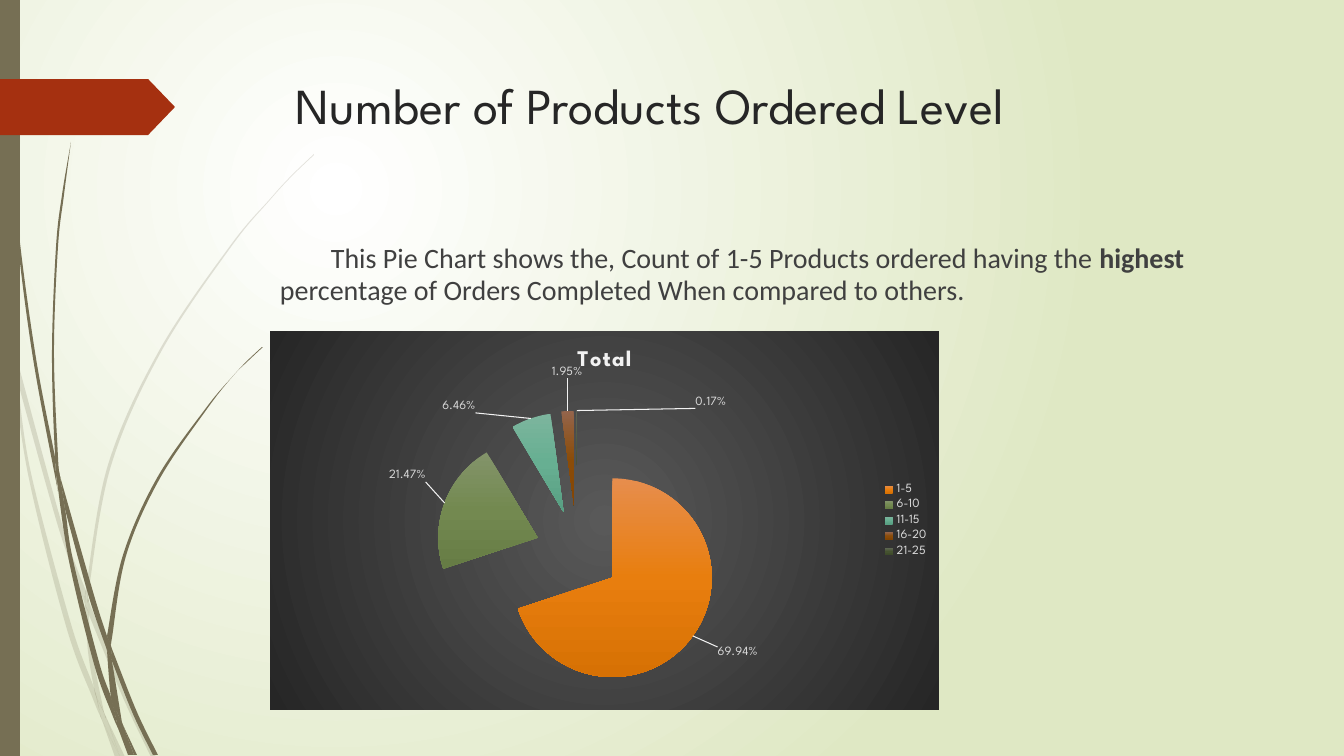
from dataclasses import dataclass
from lxml import etree
from pptx import Presentation
from pptx.chart.data import CategoryChartData
from pptx.dml.color import RGBColor
from pptx.enum.chart import XL_CHART_TYPE, XL_LABEL_POSITION, XL_LEGEND_POSITION
from pptx.enum.shapes import MSO_SHAPE
from pptx.oxml import parse_xml
from pptx.oxml.ns import nsdecls, qn
from pptx.util import Inches, Pt

PIE = XL_CHART_TYPE.PIE_EXPLODED
BEST_FIT = XL_LABEL_POSITION.BEST_FIT
LEGEND_RIGHT = XL_LEGEND_POSITION.RIGHT
RECTANGLE, PENTAGON = MSO_SHAPE.RECTANGLE, MSO_SHAPE.PENTAGON
SLIDE_WIDTH, SLIDE_HEIGHT = 1344, 756
EMU_PER_PX = Inches(7.5) / SLIDE_HEIGHT


@dataclass(frozen=True)
class Theme:
    olive: str = "766F54"
    rust: str = "A53010"
    background: tuple = ((0, "FFFFFF"), (100, "DFE8C4"))
    chart_back: tuple = ((0, "595959"), (100, "262626"))
    leader: str = "F2F2F2"
    heading: tuple = ("League Spartan", 36, "262626")
    body: tuple = ("Calibri", 20, "404040")
    chart_title: tuple = ("League Spartan", 16, "F2F2F2")
    chart_text: tuple = ("League Spartan", 9, "D9D9D9")


ORDER_LEVELS = [
    ("1-5", 0.6994, ("E78D4D", "E87E0E", "D77104"), (0.03, 0.02)),
    ("6-10", 0.2147, ("83946A", "738950", "667C45"), (-0.02, -0.05)),
    ("11-15", 0.0646, ("7CB59D", "67AF92", "589F82"), (-0.08, 0)),
    ("16-20", 0.0195, ("94654C", "8B4C08", "814402"), (0, -0.07)),
    ("21-25", 0.0017, ("616956", "455230", "3D4A2A"), (0.2, 0.01)),
]
PALE_BLADES = [
    ([(0, 301), (10, 347), (11, 353)], [(0, 284), (9, 325), (11, 353)]),
    ([(17, 379), (58, 526), (85, 604)], [(14, 348), (62, 524), (86, 591)]),
    ([(89, 615), (124, 700), (151, 757)], [(89, 601), (93, 612), (128, 698), (156, 757)]),
    ([(106, 717), (120, 757)], [(106, 717), (125, 757)]),
    ([(11, 353), (28, 474), (66, 626), (93, 699), (102, 720)],
     [(11, 353), (17, 379), (31, 473), (71, 624), (94, 688), (100, 713), (102, 720)]),
    ([(85, 604), (88, 651), (94, 688), (97, 698), (106, 717)],
     [(85, 604), (89, 613), (89, 615), (92, 651), (104, 712), (106, 717)]),
    ([(314, 154), (291, 176), (270, 199), (230, 246), (159, 351), (108, 465), (86, 589), (86, 591)],
     [(314, 155), (292, 176), (270, 200), (231, 247), (161, 352), (111, 466), (89, 589), (89, 601)]),
    ([(102, 720), (115, 757)], [(102, 720), (120, 757)]),
    ([(86, 591), (85, 604), (89, 613)], [(86, 591), (89, 601), (89, 615)]),
    ([(94, 688), (100, 713), (102, 720), (120, 757)], [(94, 688), (97, 698), (106, 717), (120, 757)]),
]
DARK_BLADES = [
    ([(3, 0), (4, 48), (7, 111), (17, 235), (33, 358), (56, 481), (57, 485)],
     [(4, 0), (5, 48), (8, 110), (19, 234), (36, 358), (55, 457), (55, 461), (57, 485)]),
    ([(65, 509), (89, 597), (107, 650)], [(60, 476), (94, 595), (107, 636)]),
    ([(112, 661), (133, 714), (153, 755)], [(111, 646), (114, 654), (137, 712), (158, 755)]),
    ([(57, 481), (69, 561), (94, 664), (112, 714), (118, 728)],
     [(57, 481), (65, 509), (73, 560), (99, 662), (111, 697), (117, 723), (118, 728)]),
    ([(71, 142), (62, 195), (56, 247), (52, 352), (55, 453), (60, 476)],
     [(71, 142), (64, 195), (58, 247), (54, 352), (58, 457), (60, 476)]),
    ([(123, 725), (134, 755)], [(123, 725), (137, 755)]),
    ([(55, 453), (55, 457), (57, 481), (65, 509)], [(55, 453), (60, 476), (65, 509)]),
    ([(262, 347), (247, 361), (233, 376), (206, 408), (157, 478), (123, 555), (107, 636)],
     [(263, 347), (247, 362), (233, 376), (207, 409), (159, 480), (126, 556), (112, 638), (111, 646)]),
    ([(118, 728), (128, 755)], [(118, 728), (132, 755)]),
    ([(107, 650), (111, 697), (117, 712), (123, 725)], [(107, 650), (110, 656), (112, 661), (122, 722), (123, 725)]),
    ([(107, 636), (107, 650), (110, 656), (112, 661)], [(107, 636), (111, 646), (112, 661)]),
    ([(111, 697), (117, 723), (118, 728), (131, 755)], [(111, 697), (117, 712), (123, 725), (134, 755)]),
]


def px(value):
    return round(value * EMU_PER_PX)


def apply(target, values):
    for name, value in values.items():
        setattr(target, name, value)


def set_font(font, style, bold=False):
    name, size, color = style
    apply(font, {"name": name, "size": Pt(size), "bold": bold})
    font.color.rgb = RGBColor.from_string(color)


def bezier_points(edge):
    padded = [edge[0], *edge, edge[-1]]
    points = [edge[0]]
    for a, b, c, d in zip(padded, padded[1:], padded[2:], padded[3:]):
        points.append(tuple(q + (r - p) / 6 for p, q, r in zip(a, b, c)))
        points.append(tuple(r - (s - q) / 6 for q, r, s in zip(b, c, d)))
        points.append(c)
    return points


def gradient(stops, direction):
    stop_xml = "".join(f'<a:gs pos="{position * 1000}"><a:srgbClr val="{color}"/></a:gs>' for position, color in stops)
    return parse_xml(f'<a:gradFill {nsdecls("a")} rotWithShape="1"><a:gsLst>{stop_xml}</a:gsLst>{direction}</a:gradFill>')


def radial(left_top, right_bottom):
    sides = " ".join(f'{side}="{value * 1000}"' for side, value in zip("ltrb", (left_top,) * 2 + (right_bottom,) * 2))
    return f'<a:path path="circle"><a:fillToRect {sides}/></a:path>'


def manual_layout(values, mode=""):
    sizes = "".join(f'<c:{name} val="{value}"/>' for name, value in zip("xywh", values))
    return parse_xml(f'<c:layout {nsdecls("c")}><c:manualLayout>{mode}{sizes}</c:manualLayout></c:layout>')


def fill_gradient(fill, owner, stops, direction):
    fill.solid()
    solid = owner.find(".//" + qn("a:solidFill"))
    solid.getparent().replace(solid, gradient(stops, direction))


class SlideBuilder:
    def __init__(self, slide, theme):
        self.slide, self.theme = slide, theme

    def background(self):
        fill_gradient(self.slide.background.fill, self.slide.element, self.theme.background, radial(50, 100))

    def paint(self, shape, color, opacity=100):
        shape.shadow.inherit = False
        shape.fill.solid()
        shape.fill.fore_color.rgb = RGBColor.from_string(color)
        shape.line.fill.background()
        if opacity < 100:
            color_element = shape.element.spPr.find(".//" + qn("a:srgbClr"))
            etree.SubElement(color_element, qn("a:alpha"), val=str(opacity * 1000))

    def blade(self, left_edge, right_edge, opacity):
        outline = bezier_points(left_edge) + [left_edge[-1], right_edge[-1]] + bezier_points(right_edge)[::-1]
        points = [(px(x), px(y)) for x, y in outline]
        builder = self.slide.shapes.build_freeform(*points[0])
        builder.add_line_segments(points[1:], close=True)
        shape = builder.convert_to_shape()
        segments = shape.element.findall(".//" + qn("a:lnTo"))
        for triple in zip(*[iter(segments)] * 3):
            curve = etree.Element(qn("a:cubicBezTo"))
            triple[0].addprevious(curve)
            for segment in triple:
                curve.append(segment[0])
                segment.getparent().remove(segment)
        self.paint(shape, self.theme.olive, opacity)

    def block(self, kind, box, color):
        shape = self.slide.shapes.add_shape(kind, *map(px, box))
        self.paint(shape, color)
        return shape

    def text(self, box, runs, style, indent=0, spacing=1):
        frame = self.slide.shapes.add_textbox(*map(px, box)).text_frame
        frame.word_wrap = True
        paragraph = frame.paragraphs[0]
        apply(paragraph, {"space_before": Pt(10 if indent else 0), "line_spacing": spacing})
        paragraph._p.get_or_add_pPr().set("indent", str(px(indent)))
        for wording, bold in runs:
            run = paragraph.add_run()
            run.text = wording
            set_font(run.font, style, bold)

    def pie(self, box, title, levels):
        theme = self.theme
        data = CategoryChartData(number_format="0.00%")
        data.categories = [level[0] for level in levels]
        data.add_series(title, [level[1] for level in levels])
        chart = self.slide.shapes.add_chart(PIE, *map(px, box), data).chart
        set_font(chart.font, theme.chart_text)
        apply(chart, {"has_title": True, "has_legend": True})
        chart.chart_title.text_frame.text = title
        title_run = chart.chart_title.text_frame.paragraphs[0].runs[0]
        set_font(title_run.font, theme.chart_title, True)
        title_run._r.get_or_add_rPr().set("spc", "100")
        apply(chart.legend, {"position": LEGEND_RIGHT, "include_in_layout": False})
        set_font(chart.legend.font, theme.chart_text)
        chart.plots[0].vary_by_categories = True
        series = chart.plots[0].series[0]
        element = series._element
        for old in element.findall(qn("c:explosion")):
            element.remove(old)
        for index, level in enumerate(levels):
            fill_gradient(series.points[index].format.fill, element, zip((0, 50, 100), level[2]), '<a:lin ang="5400000"/>')
        element.find(qn("c:dPt")).addprevious(parse_xml(f'<c:explosion {nsdecls("c")} val="43"/>'))
        apply(series.data_labels, {"show_value": True, "number_format": "0.00%",
                                   "number_format_is_linked": False, "position": BEST_FIT})
        set_font(series.data_labels.font, theme.chart_text)
        for index, level in enumerate(levels):
            series.points[index].data_label.position = BEST_FIT
            element.findall(".//" + qn("c:dLbl"))[index].find(qn("c:idx")).addnext(manual_layout(level[3]))
        element.find(qn("c:dLbls")).append(parse_xml(
            f'<c:leaderLines {nsdecls("c", "a")}><c:spPr><a:ln w="9525"><a:solidFill>'
            f'<a:srgbClr val="{theme.leader}"/></a:solidFill></a:ln></c:spPr></c:leaderLines>'))
        plot_area = chart.element.find(".//" + qn("c:plotArea"))
        for old in plot_area.findall(qn("c:layout")):
            plot_area.remove(old)
        mode = '<c:layoutTarget val="inner"/><c:xMode val="edge"/><c:yMode val="edge"/>'
        plot_area.insert(0, manual_layout((0.24, 0.21, 0.44, 0.75), mode))
        area = parse_xml(f'<c:spPr {nsdecls("c", "a")}><a:ln><a:noFill/></a:ln></c:spPr>')
        area.insert(0, gradient(theme.chart_back, radial(50, 50)))
        chart.element.find(qn("c:chart")).addnext(area)


presentation = Presentation()
apply(presentation, {"slide_width": px(SLIDE_WIDTH), "slide_height": px(SLIDE_HEIGHT)})
theme = Theme()
builder = SlideBuilder(presentation.slides.add_slide(presentation.slide_layouts[6]), theme)
builder.background()
for blades, opacity in ((PALE_BLADES, 20), (DARK_BLADES, 100)):
    for left_edge, right_edge in blades:
        builder.blade(left_edge, right_edge, opacity)
builder.block(RECTANGLE, (0, 0, 20, SLIDE_HEIGHT), theme.olive)
builder.block(PENTAGON, (0, 79, 175, 56), theme.rust).adjustments[0] = 0.48
builder.text((286, 69, 983, 141), [("Number of Products Ordered Level", False)], theme.heading)
description = [("This Pie Chart shows the, Count of 1-5 Products ordered having the ", False), ("highest", True),
               (" percentage of Orders Completed When compared to others.", False)]
builder.text((270, 237, 998, 416), description, theme.body, indent=51, spacing=0.97)
builder.pie((270, 331, 669, 379), "Total", ORDER_LEVELS)
presentation.save("out.pptx")
